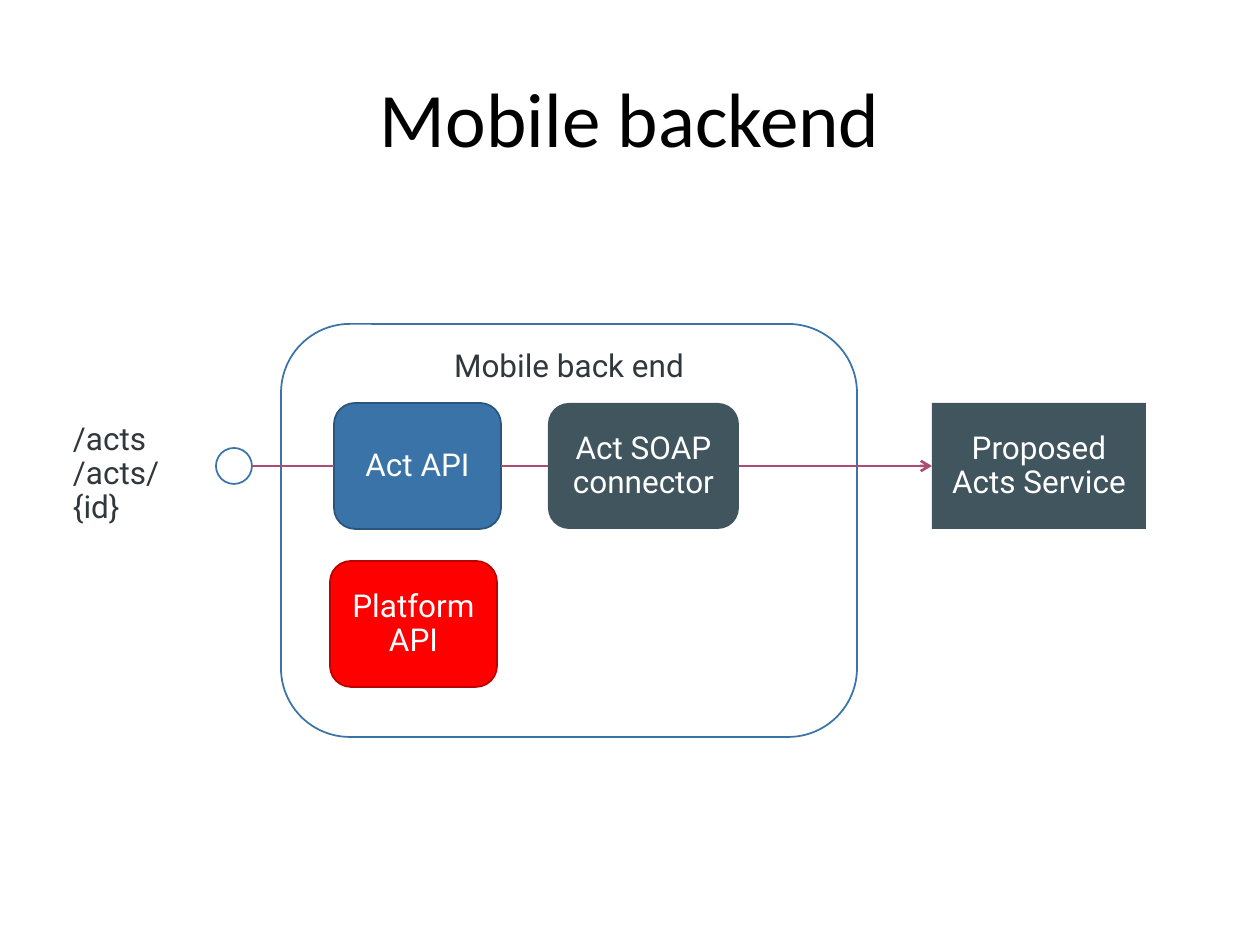
"""Build the mobile backend diagram slide."""
import pptx
import pptx.util
import pptx.dml.color
import pptx.enum.shapes
import pptx.enum.text
import pptx.oxml.ns
import lxml.etree

SCALE = 914400 / 126
KIND = pptx.enum.shapes.MSO_SHAPE
ALIGN = pptx.enum.text.PP_ALIGN
ANCHOR = pptx.enum.text.MSO_ANCHOR
BLUE, SLATE, ROSE = "3973A8", "41555E", "AB4C75"
WHITE, INK = "FFFFFF", "30383D"


def emu(px):
    return pptx.util.Emu(round(px * SCALE))


def rgb(code):
    return pptx.dml.color.RGBColor.from_string(code)


def write(frame, text, color, size=18, font="Roboto", align=ALIGN.CENTER,
          anchor=ANCHOR.MIDDLE, space=0.9, wrap=True):
    frame.word_wrap = wrap
    frame.vertical_anchor = anchor
    frame.text = text
    for para in frame.paragraphs:
        para.alignment = align
        para.line_spacing = space
        para.font.size = pptx.util.Pt(size)
        para.font.name = font
        para.font.color.rgb = rgb(color)


def add_label(slide, box, text, color, inset=True, **style):
    frame = slide.shapes.add_textbox(*map(emu, box)).text_frame
    if not inset:
        frame.margin_left = frame.margin_right = 0
        frame.margin_top = frame.margin_bottom = 0
    write(frame, text, color, **style)


def add_box(slide, kind, box, fill, edge=None, text="", color=WHITE, **style):
    shape = slide.shapes.add_shape(kind, *map(emu, box))
    shape.shadow.inherit = False
    shape.fill.solid()
    shape.fill.fore_color.rgb = rgb(fill)
    if edge:
        shape.line.color.rgb = rgb(edge)
        shape.line.width = pptx.util.Pt(1)
    else:
        shape.line.fill.background()
    if text:
        write(shape.text_frame, text, color, **style)
    return shape


def add_link(slide, start, end, target, source=None, arrow=False):
    link = slide.shapes.add_connector(
        pptx.enum.shapes.MSO_CONNECTOR.STRAIGHT, *map(emu, start + end))
    if source is not None:
        link.begin_connect(source, 3)
    link.end_connect(target, 1)
    link.line.color.rgb = rgb(ROSE)
    link.line.width = pptx.util.Pt(1.5)
    qn = pptx.oxml.ns.qn
    if arrow:
        line = link.line._get_or_add_ln()
        lxml.etree.SubElement(line, qn("a:tailEnd"), type="arrow")
    lxml.etree.SubElement(link._element.spPr, qn("a:effectLst"))


def main():
    deck = pptx.Presentation()
    deck.slide_width, deck.slide_height = emu(1260), emu(945)
    slide = deck.slides.add_slide(deck.slide_layouts[6])
    top, high, mid = 403, 126, 466
    add_label(slide, (63, 38, 1134, 157), "Mobile backend", "000000",
              size=44, font="Calibri", space=1.0)
    add_box(slide, KIND.ROUNDED_RECTANGLE, (281, 324, 576, 413), WHITE, BLUE,
            "Mobile back end", INK, anchor=ANCHOR.TOP)
    api = add_box(slide, KIND.ROUNDED_RECTANGLE, (334, top, 167, high),
                  BLUE, "2A557C", "Act API")
    add_box(slide, KIND.ROUNDED_RECTANGLE, (330, 561, 167, high),
            "FF0000", "BD0000", "Platform\vAPI")
    soap = add_box(slide, KIND.ROUNDED_RECTANGLE, (548, top, 191, high),
                   SLATE, text="Act SOAP connector")
    port = 36
    add_box(slide, KIND.OVAL, (216, mid - port // 2, port, port), WHITE, BLUE)
    add_label(slide, (73, 423, 126, 126), "/acts\n/acts/{id}", INK,
              inset=False, align=ALIGN.LEFT, anchor=ANCHOR.TOP, wrap=False)
    serve = add_box(slide, KIND.RECTANGLE, (932, top, 214, high),
                    SLATE, text="Proposed Acts Service")
    add_link(slide, (216 + port, mid), (334, mid), api)
    add_link(slide, (501, mid), (548, mid), soap, api)
    add_link(slide, (739, mid), (932, mid), serve, soap, arrow=True)
    deck.save("out.pptx")


if __name__ == "__main__":
    main()
